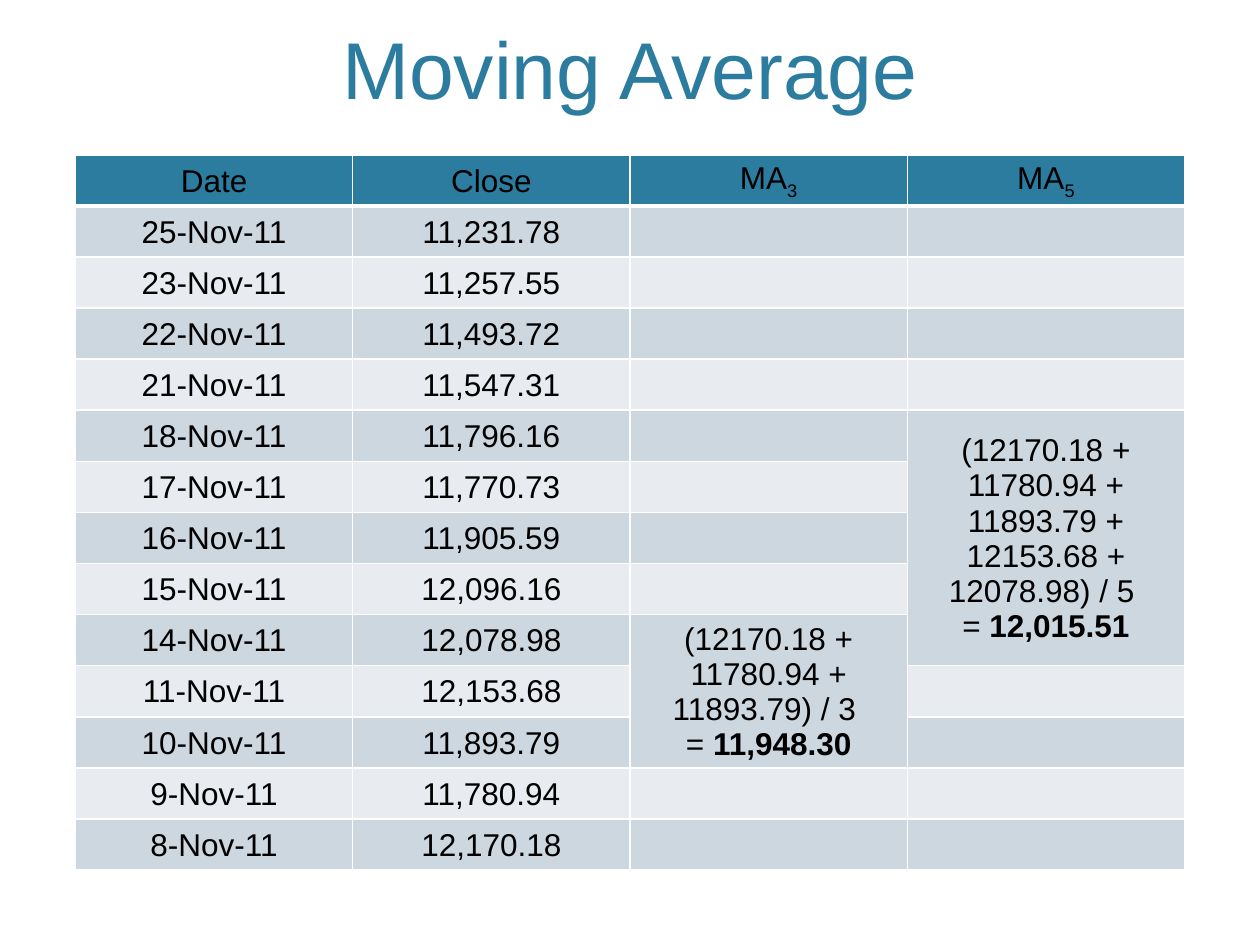
from lxml import etree
from pptx import Presentation
from pptx.dml.color import RGBColor
from pptx.enum.text import MSO_ANCHOR, PP_ALIGN
from pptx.oxml.ns import qn
from pptx.util import Cm, Pt

CENTER = PP_ALIGN.CENTER
MIDDLE, BOTTOM = MSO_ANCHOR.MIDDLE, MSO_ANCHOR.BOTTOM
TEAL, BLACK, WHITE = "2C7C9F", "000000", "FFFFFF"
BANDS = ("CDD7DF", "E8ECF0")

HEADINGS = [("Date", ""), ("Close", ""), ("MA", "3"), ("MA", "5")]
CLOSES = [
    ("25-Nov-11", "11,231.78"), ("23-Nov-11", "11,257.55"),
    ("22-Nov-11", "11,493.72"), ("21-Nov-11", "11,547.31"),
    ("18-Nov-11", "11,796.16"), ("17-Nov-11", "11,770.73"),
    ("16-Nov-11", "11,905.59"), ("15-Nov-11", "12,096.16"),
    ("14-Nov-11", "12,078.98"), ("11-Nov-11", "12,153.68"),
    ("10-Nov-11", "11,893.79"), ("9-Nov-11", "11,780.94"),
    ("8-Nov-11", "12,170.18"),
]
# (first row, column, rows spanned, sum, result)
AVERAGES = [
    (9, 2, 3, "(12170.18 + 11780.94 + 11893.79) / 3 ", "11,948.30"),
    (5, 3, 5, "(12170.18 + 11780.94 + 11893.79 + 12153.68 + 12078.98) / 5 ",
     "12,015.51"),
]


def color(value):
    return RGBColor.from_string(value)


class Deck:
    font = "Arial"
    body_size = 18

    def __init__(self, slide):
        self.slide = slide

    def run(self, paragraph, text, size=body_size, ink=BLACK, bold=False, baseline=0):
        paragraph.alignment = CENTER
        run = paragraph.add_run()
        run.text = text
        run.font.name = self.font
        run.font.size = Pt(size)
        run.font.bold = bold
        run.font.color.rgb = color(ink)
        if baseline:
            run.font._element.set("baseline", str(baseline))

    def title(self, text, left, top, width, height):
        frame = self.slide.shapes.add_textbox(
            Cm(left), Cm(top), Cm(width), Cm(height)).text_frame
        frame.word_wrap = True
        frame.vertical_anchor = BOTTOM
        self.run(frame.paragraphs[0], text, 46, TEAL)

    def table(self, rows, columns, left, top, column_width, row_height):
        table = self.slide.shapes.add_table(
            rows, columns, Cm(left), Cm(top),
            Cm(column_width * columns), Cm(row_height * rows)).table
        for column in table.columns:
            column.width = Cm(column_width)
        for index, row in enumerate(table.rows):
            row.height = Cm(row_height)
            for cell in row.cells:
                self.style_cell(cell, index)
        return table

    def style_cell(self, cell, row):
        cell.vertical_anchor = MIDDLE
        cell.margin_left = cell.margin_right = cell.margin_top = Cm(0.03)
        cell.margin_bottom = 0
        cell.text_frame.paragraphs[0].font.size = Pt(self.body_size)
        # The rule below the heading row is thicker
        self.border(cell, "L", 1)
        self.border(cell, "R", 1)
        self.border(cell, "T", 3 if row == 1 else 1)
        self.border(cell, "B", 3 if row == 0 else 1)
        cell.fill.solid()
        cell.fill.fore_color.rgb = color(BANDS[(row - 1) % 2] if row else TEAL)

    def border(self, cell, side, width):
        line = etree.SubElement(
            cell._tc.get_or_add_tcPr(), qn("a:ln" + side), w=str(Pt(width)))
        fill = etree.SubElement(line, qn("a:solidFill"))
        etree.SubElement(fill, qn("a:srgbClr"), val=WHITE)


def main():
    presentation = Presentation()
    presentation.slide_width, presentation.slide_height = Cm(25.4), Cm(19.05)
    deck = Deck(presentation.slides.add_slide(presentation.slide_layouts[6]))

    deck.title("Moving Average", 1.52, 0.3, 22.35, 2.16)
    prices = deck.table(len(CLOSES) + 1, len(HEADINGS), 1.52, 3.12, 5.59, 1.03)

    # Heading row
    for column, (label, subscript) in enumerate(HEADINGS):
        heading = prices.cell(0, column).text_frame.paragraphs[0]
        deck.run(heading, label)
        if subscript:
            deck.run(heading, subscript, baseline=-25000)

    # Dates and closing prices
    for row, entry in enumerate(CLOSES, 1):
        for column, value in enumerate(entry):
            deck.run(prices.cell(row, column).text_frame.paragraphs[0], value)

    # Worked averages in merged cells
    for row, column, span, total, result in AVERAGES:
        average = prices.cell(row, column)
        average.merge(prices.cell(row + span - 1, column))
        deck.run(average.text_frame.paragraphs[0], total)
        answer = average.text_frame.add_paragraph()
        deck.run(answer, "= ")
        deck.run(answer, result, bold=True)

    presentation.save("out.pptx")


if __name__ == "__main__":
    main()
